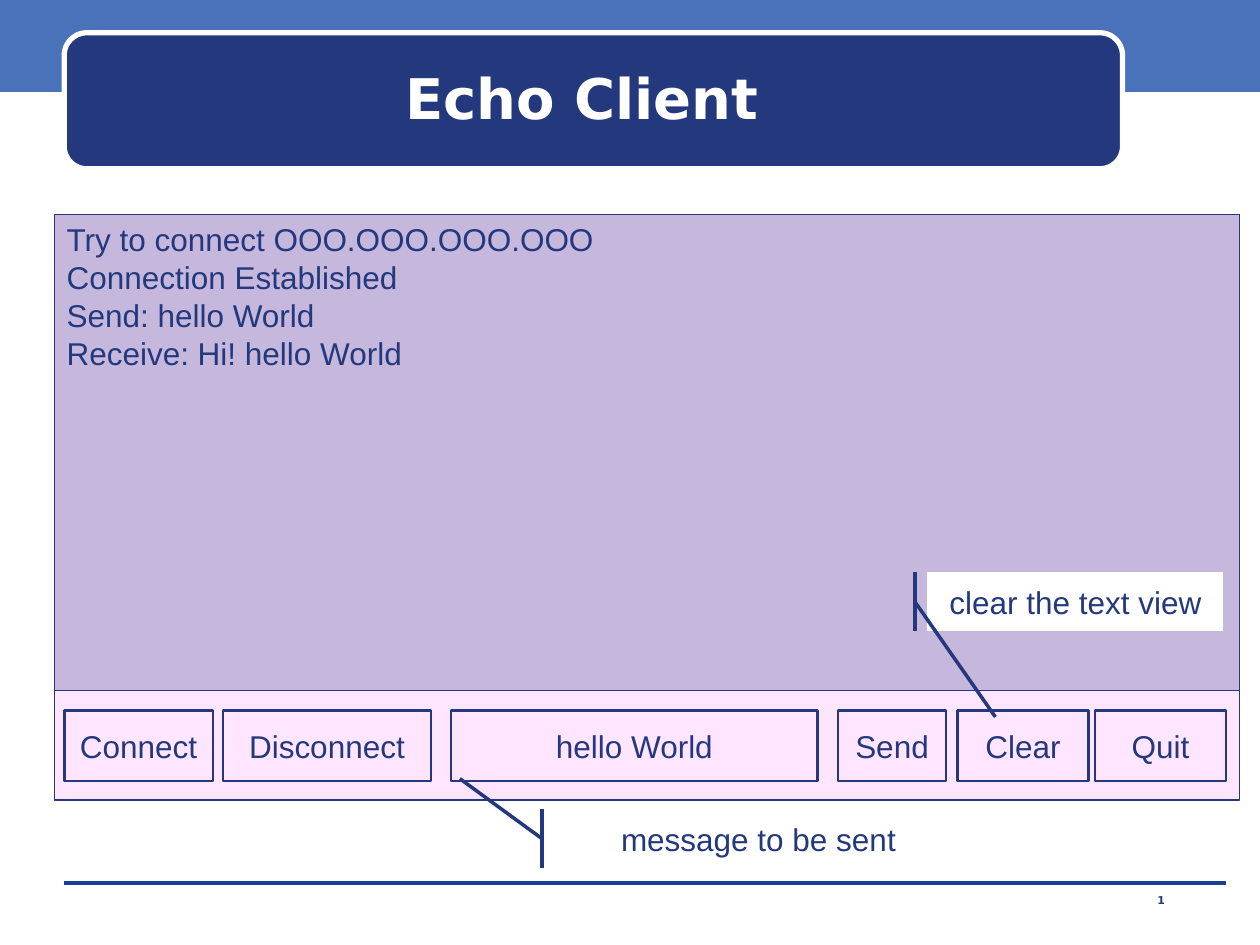
from lxml.etree import SubElement
from pptx import Presentation
from pptx.dml.color import RGBColor
from pptx.enum.shapes import MSO_CONNECTOR, MSO_SHAPE
from pptx.enum.text import MSO_ANCHOR, MSO_AUTO_SIZE, PP_ALIGN
from pptx.oxml.ns import qn
from pptx.util import Inches, Pt

NAVY, BLUE, RULE_BLUE = "23387D", "4972BB", "1A3D97"
PINK, WHITE = "FF9BFF", "FFFFFF"
BODY_FONT, TITLE_FONT = "Arial", "DejaVu Sans"

# Buttons and entry field of the control bar: label, left, width
CONTROLS = [
    ("Connect", 0.51, 1.18),
    ("Disconnect", 1.77, 1.65),
    ("hello World", 3.58, 2.91),
    ("Send", 6.65, 0.86),
    ("Clear", 7.6, 1.04),
    ("Quit", 8.69, 1.04),
]
LOG_LINES = [
    "Try to connect OOO.OOO.OOO.OOO",
    "Connection Established",
    "Send: hello World",
    "Receive: Hi! hello World",
]


def color(hex_string):
    return RGBColor.from_string(hex_string)


def write_text(shape, *lines, size=18, font=BODY_FONT, fill=NAVY, bold=False,
               align=PP_ALIGN.CENTER, anchor=MSO_ANCHOR.MIDDLE, wrap=True, spacing=None):
    frame = shape.text_frame
    frame.auto_size = MSO_AUTO_SIZE.NONE
    frame.word_wrap = wrap
    frame.vertical_anchor = anchor
    for index, line in enumerate(lines):
        paragraph = frame.paragraphs[0] if index == 0 else frame.add_paragraph()
        paragraph.alignment = align
        paragraph.line_spacing = spacing
        run = paragraph.add_run()
        run.text = line
        run.font.size, run.font.name, run.font.bold = Pt(size), font, bold
        run.font.color.rgb = color(fill)


def add_block(slide, box, kind=MSO_SHAPE.RECTANGLE, fill=None, opacity=None,
              line=None, width=0.75):
    shape = slide.shapes.add_shape(kind, *map(Inches, box))
    shape.shadow.inherit = False
    if fill:
        shape.fill.solid()
        shape.fill.fore_color.rgb = color(fill)
    else:
        shape.fill.background()
    if opacity:
        fill_element = shape._element.spPr.find(qn("a:solidFill"))
        SubElement(fill_element[0], qn("a:alpha"), val=str(opacity * 1000))
    if line:
        shape.line.color.rgb = color(line)
        shape.line.width = Pt(width)
    else:
        shape.line.fill.background()
    return shape


def add_rule(slide, left, right, y):
    rule = slide.shapes.add_connector(
        MSO_CONNECTOR.STRAIGHT, Inches(left), Inches(y), Inches(right), Inches(y))
    rule.line.color.rgb = color(RULE_BLUE)
    rule.line.width = Pt(0)
    SubElement(rule._element.spPr, qn("a:effectLst"))


def add_callout(slide, text, box, bar_x, target):
    """Label with an accent bar at bar_x and a leader to the target point."""
    left, top, width, height = box
    callout = add_block(slide, box, MSO_SHAPE.LINE_CALLOUT_1_ACCENT_BAR,
                        fill=WHITE, line=NAVY, width=2)
    target_x, target_y = target
    positions = (0.5, (bar_x - left) / width,
                 (target_y - top) / height, (target_x - left) / width)
    for index, position in enumerate(positions):
        callout.adjustments[index] = position
    write_text(callout, text, wrap=False)


def add_title(slide, text):
    add_block(slide, (0, -0.03, 10, 0.76), fill=BLUE)
    add_rule(slide, 0.51, 9.73, 7.01)
    add_block(slide, (0.51, 0.26, 8.4, 1.08), MSO_SHAPE.ROUNDED_RECTANGLE,
              fill=NAVY, line=WHITE, width=3)
    title = slide.shapes.title
    title.left, title.top, title.width, title.height = map(Inches, (0.6, 0.35, 8.04, 0.84))
    write_text(title, text, size=32, font=TITLE_FONT, fill=WHITE, bold=True)
    # Bring the title in front of its banner
    slide.shapes._spTree.append(title._element)


def add_slide_number(slide, number):
    box = slide.shapes.add_textbox(*map(Inches, (8.07, 7.06, 2.29, 0.24)))
    write_text(box, number, size=6.2, font=TITLE_FONT, bold=True,
               anchor=MSO_ANCHOR.TOP, spacing=0.8)
    # Turn the run into a slide number field
    run = box.text_frame.paragraphs[0].runs[0]._r
    field = SubElement(run.getparent(), qn("a:fld"), type="slidenum",
                       id="{B6F15528-21DE-4FAA-801E-634DDDAF4B2B}")
    field.extend(list(run))
    run.getparent().remove(run)


def add_client_window(slide):
    left, top, width = 0.43, 1.7, 9.41
    add_block(slide, (left, top, width, 4.65), fill=PINK, opacity=26, line=NAVY)
    text_view = add_block(slide, (left, top, width, 3.78), fill=NAVY, opacity=26, line=NAVY)
    write_text(text_view, *LOG_LINES, align=PP_ALIGN.LEFT, anchor=MSO_ANCHOR.TOP, wrap=False)
    for label, control_left, control_width in CONTROLS:
        control = add_block(slide, (control_left, 5.64, control_width, 0.56),
                            line=NAVY, width=1.5)
        write_text(control, label)


def main():
    presentation = Presentation()
    presentation.slide_width, presentation.slide_height = Inches(10), Inches(7.5)
    slide = presentation.slides.add_slide(presentation.slide_layouts[5])

    add_title(slide, "Echo Client")
    add_slide_number(slide, "1")
    add_client_window(slide)
    add_callout(slide, "message to be sent", (4.45, 6.42, 3.14, 0.47), 4.3, (3.65, 6.18))
    add_callout(slide, "clear the text view", (7.36, 4.54, 2.35, 0.47), 7.26, (7.9, 5.69))

    presentation.save("out.pptx")


if __name__ == "__main__":
    main()
